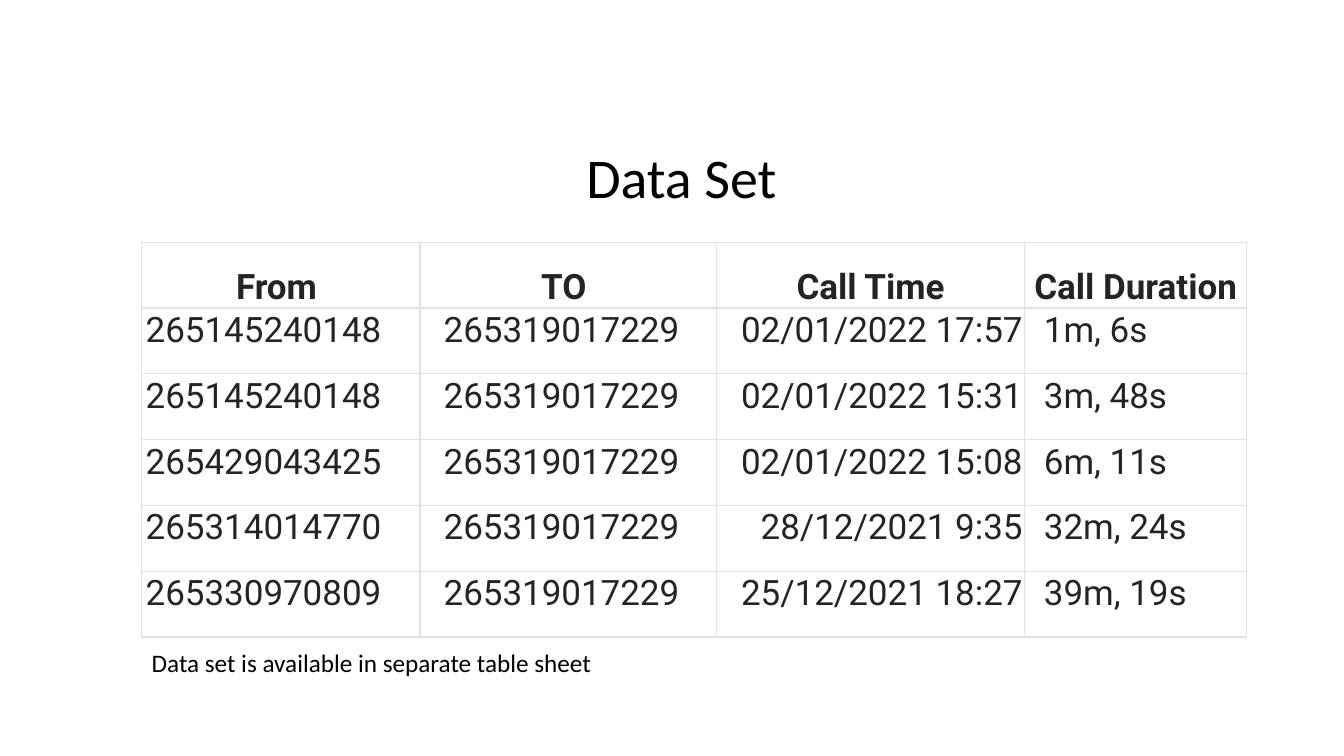
from pptx import Presentation
from pptx.dml.color import RGBColor
from pptx.enum.text import MSO_ANCHOR as Anchor, PP_ALIGN as Align
from pptx.oxml import parse_xml
from pptx.oxml.ns import nsdecls
from pptx.util import Pt

BLACK = RGBColor(0x00, 0x00, 0x00)
INK = RGBColor(0x21, 0x25, 0x29)
RULE = RGBColor(0xDE, 0xE2, 0xE6)

LEFT, WIDTH = Pt(101.3), Pt(789.1)
ROW = Pt(47)
COLS = [198.7, 211.7, 220.3, 158.4]
HEADS = ["From ", "TO ", "Call Time", "Call Duration"]
TO = "265319017229"
CALLS = [
    ("265145240148", TO, "02/01/2022 17:57", "1m, 6s"),
    ("265145240148", TO, "02/01/2022 15:31", "3m, 48s"),
    ("265429043425", TO, "02/01/2022 15:08", "6m, 11s"),
    ("265314014770", TO, "28/12/2021 9:35", "32m, 24s"),
    ("265330970809", TO, "25/12/2021 18:27", "39m, 19s"),
]
# Alignment, left inset and right inset of each body column
STYLES = [
    (Align.LEFT, 2.8, 1.5),
    (Align.RIGHT, 13.7, 26.5),
    (Align.RIGHT, 13.7, 1.5),
    (Align.LEFT, 13.7, 1.5),
]


def set_text(frame, text, font, size, color, align=Align.LEFT, bold=False):
    frame.text = text
    para = frame.paragraphs[0]
    para.alignment = align
    para.font.name = font
    para.font.size = Pt(size)
    para.font.bold = bold
    para.font.color.rgb = color
    return para


def add_title(slide, text):
    title = slide.shapes.title
    title.left, title.top, title.width, title.height = LEFT, Pt(95), WIDTH, Pt(67.7)
    frame = title.text_frame
    frame.vertical_anchor = Anchor.MIDDLE
    frame.margin_right = Pt(25.5)
    para = set_text(frame, text, "Calibri", 40, BLACK, Align.CENTER)
    para.line_spacing = 0.9


def set_border(cell):
    props = cell._tc.get_or_add_tcPr()
    for side in "LRTB":
        props.append(parse_xml(
            f'<a:ln{side} {nsdecls("a")} w="{Pt(1)}"><a:solidFill>'
            f'<a:srgbClr val="{RULE}"/></a:solidFill></a:ln{side}>'))


def fill_cell(cell, text, style, head):
    align, left, right = style
    cell.margin_left, cell.margin_right = Pt(left), Pt(right)
    cell.margin_top, cell.margin_bottom = Pt(1.5), 0
    cell.vertical_anchor = Anchor.BOTTOM if head else Anchor.TOP
    set_text(cell.text_frame, text, "Roboto", 25, INK, align, head)
    set_border(cell)
    cell.fill.background()


def add_calls(slide):
    rows = [HEADS] + CALLS
    table = slide.shapes.add_table(
        len(rows), len(COLS), LEFT, Pt(173), WIDTH, ROW * len(rows)).table
    table.first_row = table.horz_banding = False
    for col, width in zip(table.columns, COLS):
        col.width = Pt(width)
    for r, row in enumerate(rows):
        table.rows[r].height = ROW
        for c, text in enumerate(row):
            style = STYLES[c] if r else (Align.CENTER, 1.5, 1.5)
            fill_cell(table.cell(r, c), text, style, r == 0)


def add_note(slide, text):
    frame = slide.shapes.add_textbox(LEFT, Pt(458.6), Pt(340), Pt(29)).text_frame
    frame.word_wrap = True
    set_text(frame, text, "Calibri", 18, BLACK)


def main():
    deck = Presentation()
    deck.slide_width, deck.slide_height = Pt(960), Pt(540)
    slide = deck.slides.add_slide(deck.slide_layouts[5])

    # Heading, call table and note
    add_title(slide, "Data Set")
    add_calls(slide)
    add_note(slide, "Data set is available in separate table sheet")

    deck.save("out.pptx")


if __name__ == "__main__":
    main()
